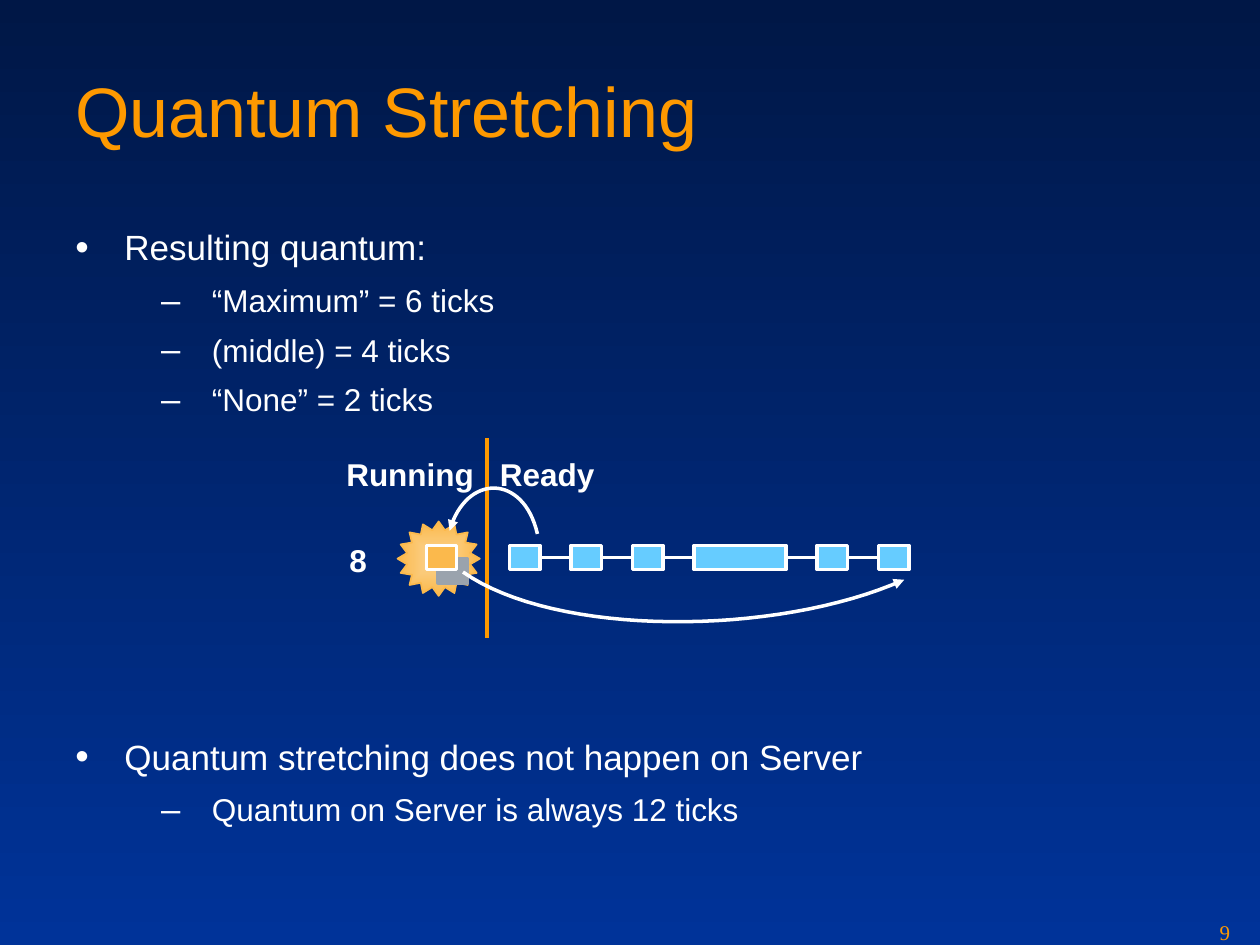
from dataclasses import dataclass
from typing import NamedTuple

from lxml.etree import SubElement
from pptx import Presentation
from pptx.dml.color import RGBColor as RGB
from pptx.enum.shapes import MSO_CONNECTOR as Connector, MSO_SHAPE as Preset
from pptx.enum.text import MSO_ANCHOR as Anchor, PP_ALIGN as Align
from pptx.oxml.ns import qn
from pptx.util import Pt


@dataclass(frozen=True)
class Theme:
    """Colours, fonts and type sizes of the slide."""
    top: str = "001746"
    bottom: str = "003399"
    accent: str = "FE9900"
    text: str = "FFFFFF"
    ready: str = "66CCFF"
    running: str = "FBB94C"
    glow: str = "FBD493"
    shade: str = "9AA3AD"
    sans: str = "Arial"
    serif: str = "Times New Roman"
    title: int = 40
    body: int = 20
    detail: int = 18
    number: int = 12
    stroke: int = 2


class Box(NamedTuple):
    """A rectangle in points."""
    left: float
    top: float
    width: float
    height: float

    def inner(self, left, top, width, height):
        """Return a box placed relative to this one."""
        return Box(self.left + left, self.top + top, width, height)

    def lengths(self):
        """Return the four sides as lengths."""
        return [Pt(side) for side in self]


THEME = Theme()
LEVELS = (
    dict(bullet="•", indent=28, hang=28, size=THEME.body, space=5),
    dict(bullet="–", indent=78, hang=29, size=THEME.detail, space=4.5),
)
BODY = (
    (0, "Resulting quantum:", 0),
    (1, "“Maximum” = 6 ticks", 4.5),
    (1, "(middle) = 4 ticks", 4.5),
    (1, "“None” = 2 ticks", 4.5),
    (0, "Quantum stretching does not happen on Server", 179),
    (1, "Quantum on Server is always 12 ticks", 4.5),
)
READY_SPANS = (1, 1, 1, 2, 1, 1)


def assign(target, values):
    """Set each named attribute of the target."""
    for name, value in values.items():
        setattr(target, name, value)


def set_font(paragraph, size, color=THEME.text, name=THEME.sans, bold=False):
    """Format the font of a paragraph."""
    assign(paragraph.font, dict(size=Pt(size), name=name, bold=bold))
    paragraph.font.color.rgb = RGB.from_string(color)


def add_text_frame(slide, box, **settings):
    """Add a wrapping text box and return its frame."""
    frame = slide.shapes.add_textbox(*box.lengths()).text_frame
    assign(frame, dict(word_wrap=True, **settings))
    return frame


def add_label(slide, box, text, size, align=Align.LEFT, font=None, **settings):
    """Add a single line of text and return its paragraph."""
    paragraph = add_text_frame(slide, box, **settings).paragraphs[0]
    assign(paragraph, dict(text=text, alignment=align))
    set_font(paragraph, size, **(font or {}))
    return paragraph


def set_line(shape, color, width=THEME.stroke):
    """Format an outline or a line."""
    shape.line.color.rgb = RGB.from_string(color)
    shape.line.width = Pt(width)


def add_preset(slide, preset, box, fill, line, width=THEME.stroke):
    """Add a filled and outlined preset shape."""
    shape = slide.shapes.add_shape(preset, *box.lengths())
    shape.shadow.inherit = False
    shape.fill.solid()
    shape.fill.fore_color.rgb = RGB.from_string(fill)
    set_line(shape, line, width)
    return shape


def add_line(slide, start, end, color):
    """Add a straight line without shadow."""
    ends = [Pt(value) for value in (*start, *end)]
    line = slide.shapes.add_connector(Connector.STRAIGHT, *ends)
    set_line(line, color)
    SubElement(line.element.spPr, qn("a:effectLst"))


def curve_point(controls, t):
    """Return the point at t on a cubic curve."""
    weights = ((1 - t) ** 3, 3 * t * (1 - t) ** 2, 3 * t * t * (1 - t), t ** 3)
    return tuple(Pt(sum(w * value for w, value in zip(weights, axis)))
                 for axis in zip(*controls))


def add_curved_arrow(slide, box, controls, steps=32):
    """Add an open curve ending in an arrowhead."""
    placed = [(box.left + x, box.top + y) for x, y in controls]
    points = [curve_point(placed, step / steps) for step in range(steps + 1)]
    builder = slide.shapes.build_freeform(*points[0])
    builder.add_line_segments(points[1:], close=False)
    arrow = builder.convert_to_shape()
    arrow.shadow.inherit = False
    arrow.fill.background()
    set_line(arrow, THEME.text)
    SubElement(arrow.element.spPr.find(qn("a:ln")), qn("a:tailEnd"), type="triangle")


def paint_background(slide):
    """Shade the slide from top to bottom."""
    fill = slide.background.fill
    fill.gradient()
    fill.gradient_angle = 270
    for stop, color in zip(fill.gradient_stops, (THEME.top, THEME.bottom)):
        stop.color.rgb = RGB.from_string(color)


def add_bullet(paragraph, level):
    """Give a paragraph the bullet and indent of its level."""
    properties = paragraph._p.get_or_add_pPr()
    properties.set("marL", str(Pt(level["indent"])))
    properties.set("indent", str(-Pt(level["hang"])))
    color = SubElement(properties, qn("a:buClr"))
    SubElement(color, qn("a:srgbClr"), val=THEME.text)
    SubElement(properties, qn("a:buSzPct"), val="110000")
    SubElement(properties, qn("a:buFont"), typeface=THEME.sans)
    SubElement(properties, qn("a:buChar"), char=level["bullet"])


def add_body(slide, box):
    """Add the bulleted text."""
    frame = add_text_frame(slide, box)
    for index, (depth, text, before) in enumerate(BODY):
        paragraph = frame.add_paragraph() if index else frame.paragraphs[0]
        level = LEVELS[depth]
        assign(paragraph, dict(text=text, level=depth, line_spacing=0.9,
                               space_before=Pt(before), space_after=Pt(level["space"])))
        add_bullet(paragraph, level)
        set_font(paragraph, level["size"])


def add_burst(slide, box):
    """Add the glowing star behind the running thread."""
    star = add_preset(slide, Preset.STAR_16_POINT, box, THEME.running, THEME.running, 1)
    star.adjustments[0] = 0.39
    star.fill.gradient()
    for stop, color in zip(star.fill.gradient_stops, (THEME.glow, THEME.running)):
        stop.color.rgb = RGB.from_string(color)
    gradient = star.element.spPr.find(qn("a:gradFill"))
    gradient.remove(gradient.find(qn("a:lin")))
    shading = SubElement(gradient, qn("a:path"), path="rect")
    SubElement(shading, qn("a:fillToRect"), l="50000", t="50000", r="50000", b="50000")


def add_ready_queue(slide, box, gap=17.8):
    """Add the chain of ready threads across the box."""
    slots = sum(READY_SPANS)
    unit = (box.width - gap * (slots - 1)) / slots
    middle = box.top + box.height / 2
    left = box.left
    for span in READY_SPANS:
        width = span * unit + (span - 1) * gap
        if left > box.left:
            add_line(slide, (left - gap, middle), (left, middle), THEME.text)
        thread = Box(left, box.top, width, box.height)
        add_preset(slide, Preset.RECTANGLE, thread, THEME.ready, THEME.text)
        left += width + gap


def add_scheduler(slide, box):
    """Add the diagram of the running thread and the ready queue."""
    bold = dict(bold=True)
    add_burst(slide, box.inner(40, 47.5, 47, 42.5))
    add_ready_queue(slide, box.inner(104, 61.2, 228.3, 13.8))
    add_label(slide, box.inner(0, 55.4, 35, 28.8), "8", THEME.detail, Align.RIGHT,
              bold, margin_right=Pt(12.6))
    divider = box.left + 91
    add_line(slide, (divider, box.top), (divider, box.top + box.height), THEME.accent)
    states = add_label(slide, box.inner(3.6, 6.2, 182, 28.8), "Running\tReady",
                       THEME.detail, font=bold)
    tabs = SubElement(states._p.get_or_add_pPr(), qn("a:tabLst"))
    tabs.getparent().insert(0, tabs)
    SubElement(tabs, qn("a:tab"), pos=str(Pt(87.8)), algn="l")
    add_preset(slide, Preset.RECTANGLE, box.inner(63, 69, 17, 13.6), THEME.shade, THEME.shade)
    add_curved_arrow(slide, box, ((77.4, 76.4), (130, 113.5), (256, 113.5), (329.5, 80.8)))
    add_preset(slide, Preset.RECTANGLE, box.inner(56.4, 61.2, 17.2, 13.8),
               THEME.running, THEME.text)
    add_curved_arrow(slide, box, ((119.9, 54.6), (112, 20), (79, 20), (69.7, 52.8)))


def build():
    """Build and save the presentation."""
    presentation = Presentation()
    assign(presentation, dict(slide_width=Pt(720), slide_height=Pt(540)))
    slide = presentation.slides.add_slide(presentation.slide_layouts[6])
    paint_background(slide)
    add_label(slide, Box(36, 17.3, 648, 90), "Quantum Stretching", THEME.title,
              font=dict(color=THEME.accent), vertical_anchor=Anchor.MIDDLE)
    add_body(slide, Box(36, 128.2, 648, 362))
    add_scheduler(slide, Box(187.2, 250.5, 333, 114))
    add_label(slide, Box(689.8, 522, 30.2, 18), "9", THEME.number,
              font=dict(color=THEME.accent, name=THEME.serif))
    presentation.save("out.pptx")


if __name__ == "__main__":
    build()
